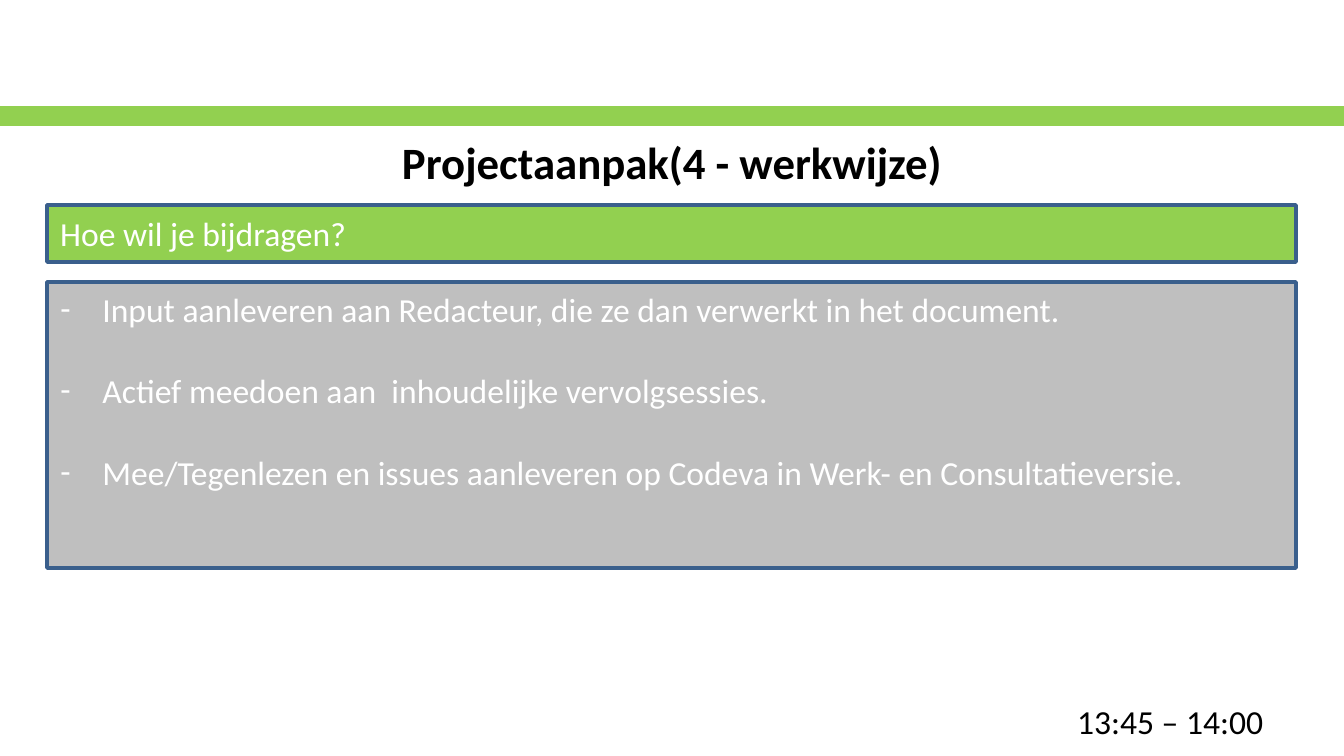
from lxml.etree import SubElement
from pptx import Presentation
from pptx.dml.color import RGBColor
from pptx.enum.shapes import MSO_SHAPE
from pptx.enum.text import MSO_ANCHOR, MSO_AUTO_SIZE, PP_ALIGN
from pptx.oxml.ns import qn
from pptx.util import Pt

PX = 914400 / 134.4  # EMU per px
GREEN, GREY, BLUE = "92D050", "BFBFBF", "3A5F8C"
WHITE, BLACK = "FFFFFF", "000000"
INDENT = 42

CONTRIBUTIONS = [
    "Input aanleveren aan Redacteur, die ze dan verwerkt in het document.",
    "Actief meedoen aan  inhoudelijke vervolgsessies.",
    "Mee/Tegenlezen en issues aanleveren op Codeva in Werk- en Consultatieversie.",
]


def px(length):
    return round(length * PX)


def rgb(value):
    return RGBColor.from_string(value)


def place(part, box):
    part.left, part.top, part.width, part.height = map(px, box)


def paint(part, fill, line):
    part.fill.solid()
    part.fill.fore_color.rgb = rgb(fill)
    part.line.color.rgb = rgb(line)
    part.line.width = Pt(2)


def style(paragraph, size, color, align=PP_ALIGN.LEFT, bold=False):
    paragraph.alignment = align
    font = paragraph.font
    font.name, font.size, font.bold = "Calibri", Pt(size), bold
    font.color.rgb = rgb(color)


def add_panel(slide, box, fill, line):
    panel = slide.shapes.add_shape(MSO_SHAPE.RECTANGLE, *map(px, box))
    panel.shadow.inherit = False
    paint(panel, fill, line)
    return panel


def fill_title(slide, box):
    title = slide.shapes.title
    place(title, box)
    frame = title.text_frame
    frame.text = "Projectaanpak(4 - werkwijze)"
    frame.vertical_anchor = MSO_ANCHOR.MIDDLE
    frame.auto_size = MSO_AUTO_SIZE.NONE
    style(frame.paragraphs[0], 24, BLACK, PP_ALIGN.CENTER, bold=True)


def add_question(slide, box):
    frame = add_panel(slide, box, GREEN, BLUE).text_frame
    frame.text = "Hoe wil je bijdragen?"
    frame.vertical_anchor = MSO_ANCHOR.MIDDLE
    style(frame.paragraphs[0], 18, WHITE)


def set_dash(paragraph):
    properties = paragraph._p.get_or_add_pPr()
    properties.set("marL", str(px(INDENT)))
    properties.set("indent", str(-px(INDENT)))
    SubElement(properties, qn("a:buFont"), typeface="Calibri")
    SubElement(properties, qn("a:buChar"), char="-")


def fill_contributions(slide, box):
    contributions = slide.placeholders[1]
    place(contributions, box)
    paint(contributions, GREY, BLUE)
    frame = contributions.text_frame
    frame.text = "\n".join(CONTRIBUTIONS)
    frame.vertical_anchor = MSO_ANCHOR.TOP
    frame.auto_size = MSO_AUTO_SIZE.NONE
    for paragraph in frame.paragraphs:
        style(paragraph, 18, WHITE)
        paragraph.space_before = Pt(0)
        paragraph.space_after = Pt(22)
        set_dash(paragraph)


def add_time(slide, box):
    frame = slide.shapes.add_textbox(*map(px, box)).text_frame
    frame.text = "13:45 – 14:00"
    frame.word_wrap = False
    style(frame.paragraphs[0], 18, BLACK)


def main():
    deck = Presentation()
    deck.slide_width, deck.slide_height = px(1344), px(756)
    slide = deck.slides.add_slide(deck.slide_layouts[1])

    # Band and title
    add_panel(slide, (0, 108, 1344, 16), GREEN, GREEN)
    fill_title(slide, (67, 125, 1210, 73))

    # Question with its answers, in one column
    left, width = 47, 1249
    add_question(slide, (left, 205, width, 57))
    fill_contributions(slide, (left, 282, width, 286))

    # Time slot
    add_time(slide, (1064, 694, 215, 54))

    deck.save("out.pptx")


if __name__ == "__main__":
    main()
